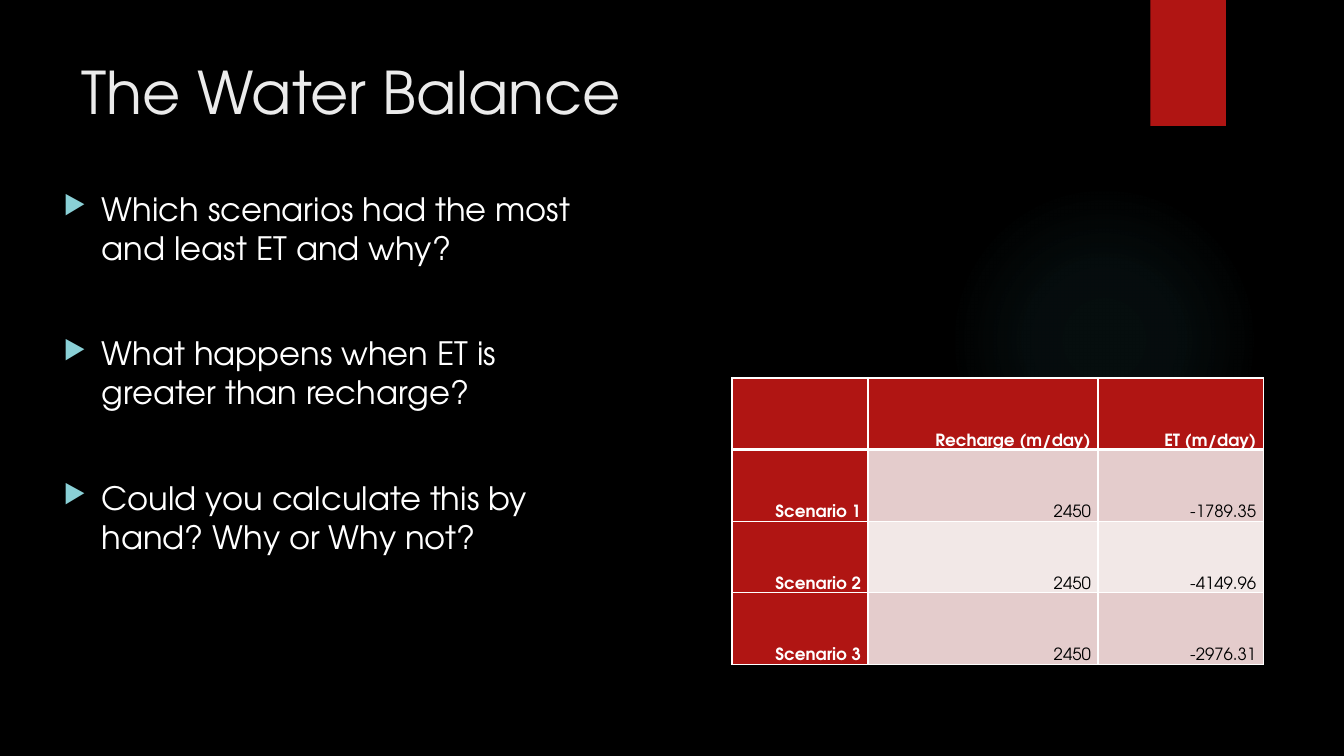
import pptx
import pptx.util
import pptx.dml.color
import pptx.enum.shapes
import pptx.enum.text
import pptx.oxml
import pptx.oxml.ns

Inches, Pt = pptx.util.Inches, pptx.util.Pt
Kinds = pptx.enum.shapes.MSO_SHAPE
Anchor = pptx.enum.text.MSO_ANCHOR
Align = pptx.enum.text.PP_ALIGN

# Content
TITLE = "The Water Balance"
ASKS = [
    "Which scenarios had the most and least ET and why?",
    "What happens when ET is greater than recharge?",
    "Could you calculate this by hand? Why or Why not?",
]
ROWS = [
    ("", "Recharge (m/day)", "ET (m/day)"),
    ("Scenario 1", "2450", "-1789.35"),
    ("Scenario 2", "2450", "-4149.96"),
    ("Scenario 3", "2450", "-2976.31"),
]
WIDTHS = [1.35, 2.28, 1.64]
HIGH = 0.71
GLOW = [(0, 7), (36, 6), (69, 0)]  # stop and opacity, percent
FONT = "TeX Gyre Adventor"
COLORS = {
    "back": "000000", "red": "B01513", "title": "EBEBEB", "white": "FFFFFF",
    "black": "000000", "dark": "E4CCCC", "light": "F2E8E7",
    "glow": "50B9C1", "mark": "8AD0D6",
}


def rgb(name):
    return pptx.dml.color.RGBColor.from_string(COLORS[name])


def parse(tag, inner, attrs=""):
    space = pptx.oxml.ns.nsdecls("a")
    return pptx.oxml.parse_xml(f"<a:{tag} {space} {attrs}>{inner}</a:{tag}>")


def fill(part, name):
    part.fill.solid()
    part.fill.fore_color.rgb = rgb(name)


def style(para, size, name, bold=False):
    for run in para.runs:
        run.font.name = FONT
        run.font.size = Pt(size)
        run.font.bold = bold
        run.font.color.rgb = rgb(name)


def shape(kind, *box):
    item = slide.shapes.add_shape(kind, *map(Inches, box))
    item.shadow.inherit = False
    item.line.fill.background()
    return item


def edge(cell, side, width):
    line = parse(side, f'<a:solidFill><a:srgbClr val="{COLORS["white"]}"/>'
                 '</a:solidFill>', f'w="{Pt(width)}"')
    props = cell._tc.get_or_add_tcPr()
    props.insert(len(props.findall(pptx.oxml.ns.qn("a:" + side[:2] + "*"))), line)


def borders(cell, foot):
    # Borders come ahead of the fill in the cell properties
    for side in ("lnB", "lnT", "lnR", "lnL"):
        edge(cell, side, foot if side == "lnB" else 1)


deck = pptx.Presentation()
deck.slide_width, deck.slide_height = Inches(13.33), Inches(7.5)
slide = deck.slides.add_slide(deck.slide_layouts[5])
fill(slide.background, "back")

# Soft glow
glow = shape(Kinds.OVAL, 9.41, 1.83, 3.08, 3.08)
glow.fill.background()
stops = "".join(
    f'<a:gs pos="{pos * 1000}"><a:srgbClr val="{COLORS["glow"]}">'
    f'<a:alpha val="{alpha * 1000}"/></a:srgbClr></a:gs>'
    for pos, alpha in GLOW)
grad = parse("gradFill", f'<a:gsLst>{stops}</a:gsLst><a:path path="circle">'
             '<a:fillToRect l="50000" t="50000" r="50000" b="50000"/></a:path>')
blank = glow._element.spPr.find(pptx.oxml.ns.qn("a:noFill"))
blank.getparent().replace(blank, grad)

# Red tab
fill(shape(Kinds.RECTANGLE, 11.41, 0, 0.75, 1.25), "red")

# Title
title = slide.shapes.title
title.left, title.top = Inches(0.71), Inches(0.5)
title.width, title.height = Inches(5.72), Inches(1.13)
frame = title.text_frame
frame.text = TITLE
frame.word_wrap = True
frame.auto_size = pptx.enum.text.MSO_AUTO_SIZE.NONE
frame.vertical_anchor = Anchor.TOP
frame.paragraphs[0].alignment = Align.LEFT
style(frame.paragraphs[0], 42, "title")

# Questions
body = slide.shapes.add_textbox(*map(Inches, (0.53, 1.83, 5.69, 3.54)))
frame = body.text_frame
frame.word_wrap = True
frame.text = "\n".join(ASKS)
for i, para in enumerate(frame.paragraphs):
    style(para, 23, "white")
    para.space_before = Pt(48 if i else 0)
    props = para._p.get_or_add_pPr()
    props.set("marL", str(Inches(0.38)))
    props.set("indent", str(-Inches(0.38)))
    props.append(parse("buClr", f'<a:srgbClr val="{COLORS["mark"]}"/>'))
    props.append(parse("buSzPct", "", 'val="80000"'))
    props.append(parse("buChar", "", 'char="▶"'))

# Scenario table
grid = slide.shapes.add_table(
    len(ROWS), len(WIDTHS), Inches(7.26), Inches(3.75),
    Inches(sum(WIDTHS)), Inches(HIGH * len(ROWS))).table
for col, width in zip(grid.columns, WIDTHS):
    col.width = Inches(width)
for r, row in enumerate(ROWS):
    grid.rows[r].height = Inches(HIGH)
    for c, text in enumerate(row):
        cell = grid.cell(r, c)
        head = r == 0 or c == 0
        cell.text = text
        cell.vertical_anchor = Anchor.BOTTOM
        cell.margin_left = cell.margin_right = Inches(0.07)
        cell.margin_top = cell.margin_bottom = 0
        para = cell.text_frame.paragraphs[0]
        para.alignment = Align.RIGHT
        style(para, 12, "white" if head else "black", head)
        fill(cell, "red" if head else "dark" if r % 2 else "light")
        borders(cell, 3 if r == 0 else 1)

deck.save("out.pptx")
